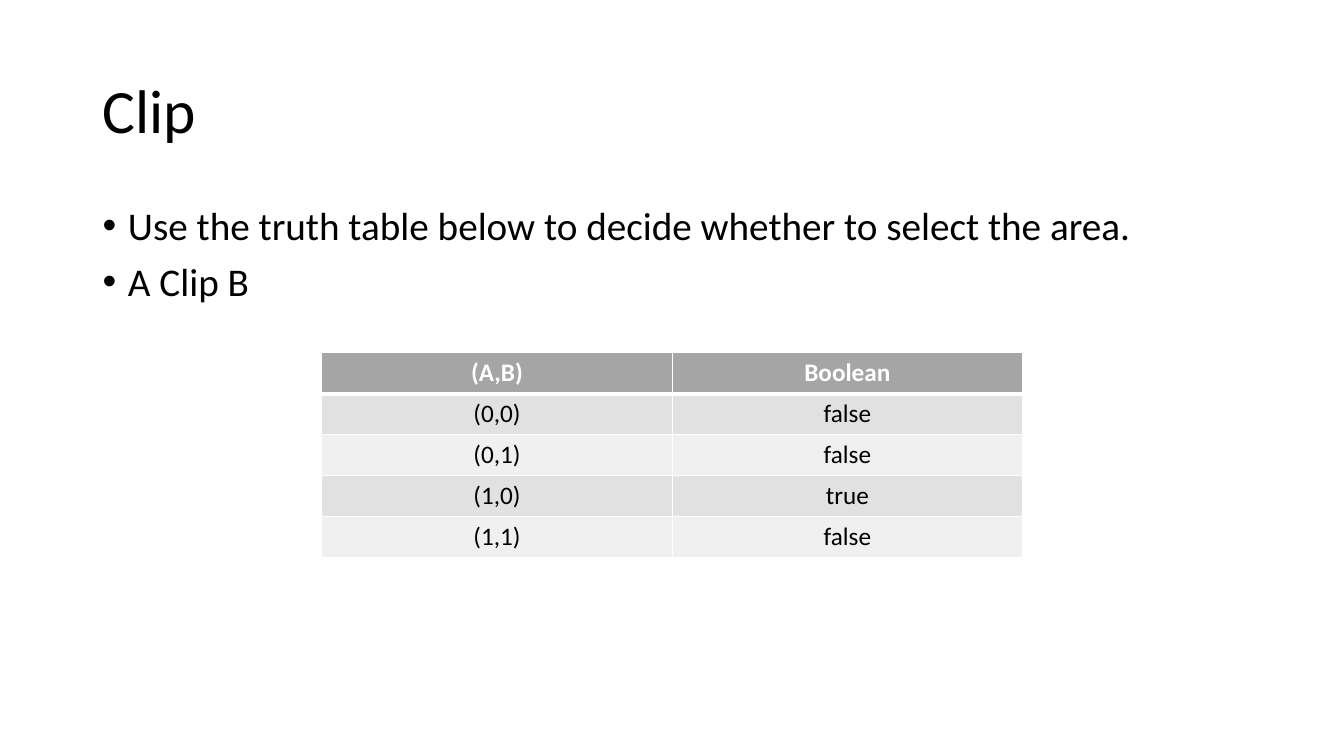
"""Build the Clip slide: title, two bullets and a truth table."""
from dataclasses import dataclass

from lxml.etree import SubElement
from pptx import Presentation
from pptx.dml.color import RGBColor
from pptx.enum.text import MSO_ANCHOR as Anchor, MSO_AUTO_SIZE as AutoSize, PP_ALIGN as Align
from pptx.oxml.ns import qn
from pptx.util import Cm, Pt


@dataclass(frozen=True)
class Theme:
    font: str = "Calibri"
    ink: str = "000000"
    paper: str = "FFFFFF"
    header: str = "A5A5A5"
    bands: tuple[str, str] = ("E1E1E1", "F0F0F0")
    title_size: int = 44
    body_size: int = 28
    cell_size: int = 18
    rule: int = 1
    header_rule: int = 3


@dataclass(frozen=True)
class Box:
    left: float
    top: float
    width: float
    height: float

    def lengths(self) -> tuple:
        return tuple(Cm(v) for v in (self.left, self.top, self.width, self.height))


@dataclass(frozen=True)
class TruthRow:
    pair: str
    result: str


THEME = Theme()
TITLE_BOX = Box(2.33, 1.01, 29.21, 3.68)
BODY_BOX = Box(2.33, 5.07, 29.21, 12.09)
TABLE_BOX = Box(8.11, 8.89, 17.66, 5.15)
BULLETS = (
    "Use the truth table below to decide whether to select the area.",
    "A Clip B",
)
TRUTH_TABLE = (
    TruthRow("(A,B)", "Boolean"),
    TruthRow("(0,0)", "false"),
    TruthRow("(0,1)", "false"),
    TruthRow("(1,0)", "true"),
    TruthRow("(1,1)", "false"),
)


def write(p, text: str, *, size: int, color: str = THEME.ink, bold: bool = False,
          align=Align.LEFT, line: float = 1.0, before: int = 0) -> None:
    p.alignment, p.line_spacing, p.space_before = align, line, Pt(before)
    r = p.add_run()
    r.text = text
    r.font.name, r.font.size, r.font.bold = THEME.font, Pt(size), bold
    r.font.color.rgb = RGBColor.from_string(color)


def place(sp, box: Box, anchor):
    sp.left, sp.top, sp.width, sp.height = box.lengths()
    tf = sp.text_frame
    tf.word_wrap, tf.auto_size, tf.vertical_anchor = True, AutoSize.NONE, anchor
    return tf


def add_bullet(p, text: str) -> None:
    write(p, text, size=THEME.body_size, line=0.9, before=10)
    pPr = p._p.get_or_add_pPr()
    pPr.set("marL", str(Cm(0.64)))
    pPr.set("indent", str(-Cm(0.64)))
    SubElement(pPr, qn("a:buFont"), typeface="Arial")
    SubElement(pPr, qn("a:buChar"), char="•")


def add_borders(cell, top: int, bottom: int) -> None:
    tcPr = cell._tc.get_or_add_tcPr()
    for side, width in (("L", THEME.rule), ("R", THEME.rule), ("T", top), ("B", bottom)):
        ln = SubElement(tcPr, qn(f"a:ln{side}"), w=str(Pt(width)))
        SubElement(SubElement(ln, qn("a:solidFill")), qn("a:srgbClr"), val=THEME.paper)


def add_truth_table(s, rows: tuple[TruthRow, ...], box: Box) -> None:
    table = s.shapes.add_table(len(rows), 2, *box.lengths()).table
    for i, row in enumerate(rows):
        table.rows[i].height = Cm(box.height / len(rows))
        header = i == 0
        fill = THEME.header if header else THEME.bands[(i - 1) % 2]
        top = THEME.header_rule if i == 1 else THEME.rule
        bottom = THEME.header_rule if header else THEME.rule
        for j, text in enumerate((row.pair, row.result)):
            cell = table.cell(i, j)
            add_borders(cell, top, bottom)
            cell.fill.solid()
            cell.fill.fore_color.rgb = RGBColor.from_string(fill)
            write(cell.text_frame.paragraphs[0], text, size=THEME.cell_size, bold=header,
                  color=THEME.paper if header else THEME.ink, align=Align.CENTER)


def main() -> None:
    prs = Presentation()
    prs.slide_width, prs.slide_height = Cm(33.87), Cm(19.05)
    s = prs.slides.add_slide(prs.slide_layouts[1])
    tf = place(s.shapes.title, TITLE_BOX, Anchor.MIDDLE)
    write(tf.paragraphs[0], "Clip", size=THEME.title_size, line=0.9)
    tf = place(s.placeholders[1], BODY_BOX, Anchor.TOP)
    for i, text in enumerate(BULLETS):
        add_bullet(tf.add_paragraph() if i else tf.paragraphs[0], text)
    add_truth_table(s, TRUTH_TABLE, TABLE_BOX)
    prs.save("out.pptx")


main()
